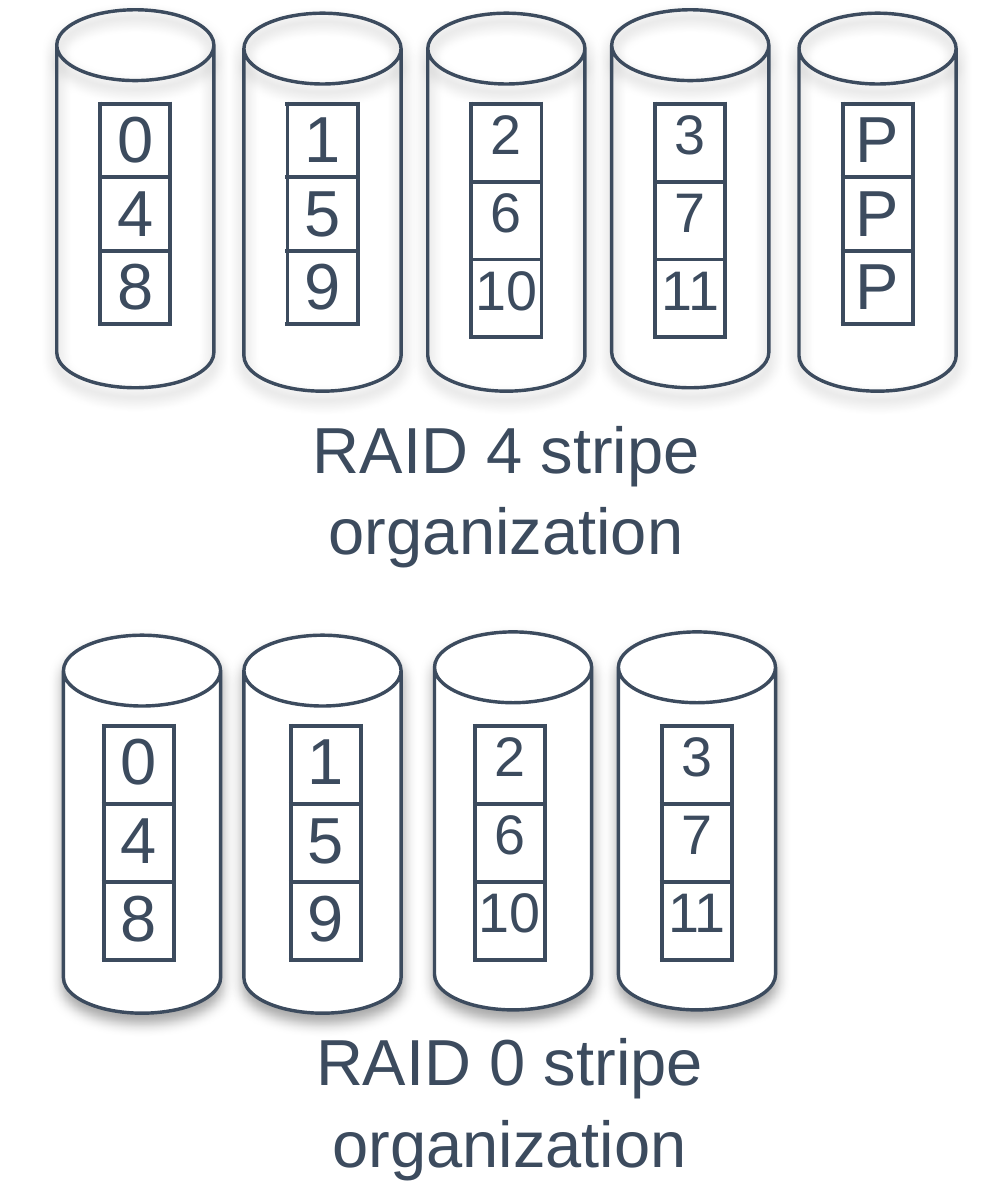
from dataclasses import dataclass

from lxml import etree
from pptx import Presentation
from pptx.dml.color import RGBColor
from pptx.enum.shapes import MSO_SHAPE
from pptx.enum.text import MSO_ANCHOR, PP_ALIGN
from pptx.oxml import parse_xml
from pptx.oxml.ns import nsdecls, qn
from pptx.util import Inches, Pt

CAN = MSO_SHAPE.CAN
CENTER = PP_ALIGN.CENTER
TOP = MSO_ANCHOR.TOP


@dataclass(frozen=True)
class Theme:
    ink: str = "3C4B5E"
    paper: str = "FFFFFF"
    shadow: str = "000000"
    font: str = "Arial"
    large: float = 14
    small: float = 12
    disk_line: float = 0.75
    cell_line: float = 1


THEME = Theme()
DISK_WIDTH, DISK_HEIGHT, LID_RATIO = 0.47, 1.13, 0.45
STRIPE_WIDTH = 0.21
TALL_ROW, SHORT_ROW = 0.7 / 3, 0.22

RAID_4_DISKS = [(2.39, 0.04), (1.83, 0.03), (1.28, 0.04), (0.73, 0.04), (0.17, 0.03)]
RAID_0_DISKS = [(1.85, 1.89), (1.3, 1.89), (0.73, 1.9), (0.19, 1.9)]
RAID_4_STRIPES = [
    (0.3, ["0", "4", "8"], THEME.large, SHORT_ROW),
    (0.86, ["1", "5", "9"], THEME.large, SHORT_ROW),
    (1.41, ["2", "6", "10"], THEME.small, TALL_ROW),
    (1.96, ["3", "7", "11"], THEME.small, TALL_ROW),
    (2.52, ["P", "P", "P"], THEME.large, SHORT_ROW),
]
RAID_0_STRIPES = [
    (0.31, ["0", "4", "8"], THEME.large, TALL_ROW),
    (0.87, ["1", "5", "9"], THEME.large, TALL_ROW),
    (1.42, ["2", "6", "10"], THEME.small, TALL_ROW),
    (1.98, ["3", "7", "11"], THEME.small, TALL_ROW),
]


def write_text(text_frame, text, *, size, spacing=None):
    paragraph = text_frame.paragraphs[0]
    paragraph.alignment = CENTER
    if spacing:
        paragraph.line_spacing = spacing
    run = paragraph.add_run()
    run.text = text
    run.font.name = THEME.font
    run.font.size = Pt(size)
    run.font.bold = False
    run.font.color.rgb = RGBColor.from_string(THEME.ink)


def add_shadow(shape):
    shape.shadow.inherit = False
    effects = shape._element.spPr.find(qn("a:effectLst"))
    shadow = etree.SubElement(
        effects, qn("a:outerShdw"), blurRad=str(Pt(3.1)), dist=str(Pt(1.8)),
        dir="5400000", rotWithShape="0")
    color = etree.SubElement(shadow, qn("a:srgbClr"), val=THEME.shadow)
    etree.SubElement(color, qn("a:alpha"), val="35000")


def add_disk(slide, left, top, *, filled):
    shape = slide.shapes.add_shape(
        CAN, Inches(left), Inches(top), Inches(DISK_WIDTH), Inches(DISK_HEIGHT))
    shape.adjustments[0] = LID_RATIO
    if filled:
        shape.fill.solid()
        shape.fill.fore_color.rgb = RGBColor.from_string(THEME.paper)
    else:
        shape.fill.background()
    shape.line.color.rgb = RGBColor.from_string(THEME.ink)
    shape.line.width = Pt(THEME.disk_line)
    add_shadow(shape)


def add_borders(cell):
    properties = cell._tc.get_or_add_tcPr()
    for side in "LRTB":
        properties.append(parse_xml(
            f'<a:ln{side} {nsdecls("a")} w="{Pt(THEME.cell_line)}"><a:solidFill>'
            f'<a:srgbClr val="{THEME.ink}"/></a:solidFill></a:ln{side}>'))


def add_stripes(slide, left, top, labels, *, size, row_height):
    frame = slide.shapes.add_table(
        len(labels), 1, Inches(left), Inches(top),
        Inches(STRIPE_WIDTH), Inches(row_height * len(labels)))
    table = frame.table
    table.first_row = False
    table.horz_banding = False
    for index, label in enumerate(labels):
        table.rows[index].height = Inches(row_height)
        cell = table.cell(index, 0)
        cell.margin_left = cell.margin_right = 0
        cell.margin_top = cell.margin_bottom = 0
        cell.vertical_anchor = TOP
        add_borders(cell)
        cell.fill.background()
        write_text(cell.text_frame, label, size=size)


def add_caption(slide, text, left, top):
    box = slide.shapes.add_textbox(Inches(left), Inches(top), Inches(1.67), Inches(0.57))
    box.text_frame.word_wrap = True
    write_text(box.text_frame, text, size=THEME.large, spacing=1.05)


def add_stripe_set(slide, stripes, top):
    for left, labels, size, row_height in stripes:
        add_stripes(slide, left, top, labels, size=size, row_height=row_height)


def main():
    presentation = Presentation()
    presentation.slide_width = Inches(3)
    presentation.slide_height = Inches(3.6)
    slide = presentation.slides.add_slide(presentation.slide_layouts[6])

    for left, top in RAID_0_DISKS:
        add_disk(slide, left, top, filled=True)
    add_stripe_set(slide, RAID_4_STRIPES, 0.31)
    add_caption(slide, "RAID 4 stripe organization", 0.68, 1.16)
    add_stripe_set(slide, RAID_0_STRIPES, 2.17)
    add_caption(slide, "RAID 0 stripe organization", 0.69, 2.99)
    for left, top in RAID_4_DISKS:
        add_disk(slide, left, top, filled=False)

    presentation.save("out.pptx")


if __name__ == "__main__":
    main()
